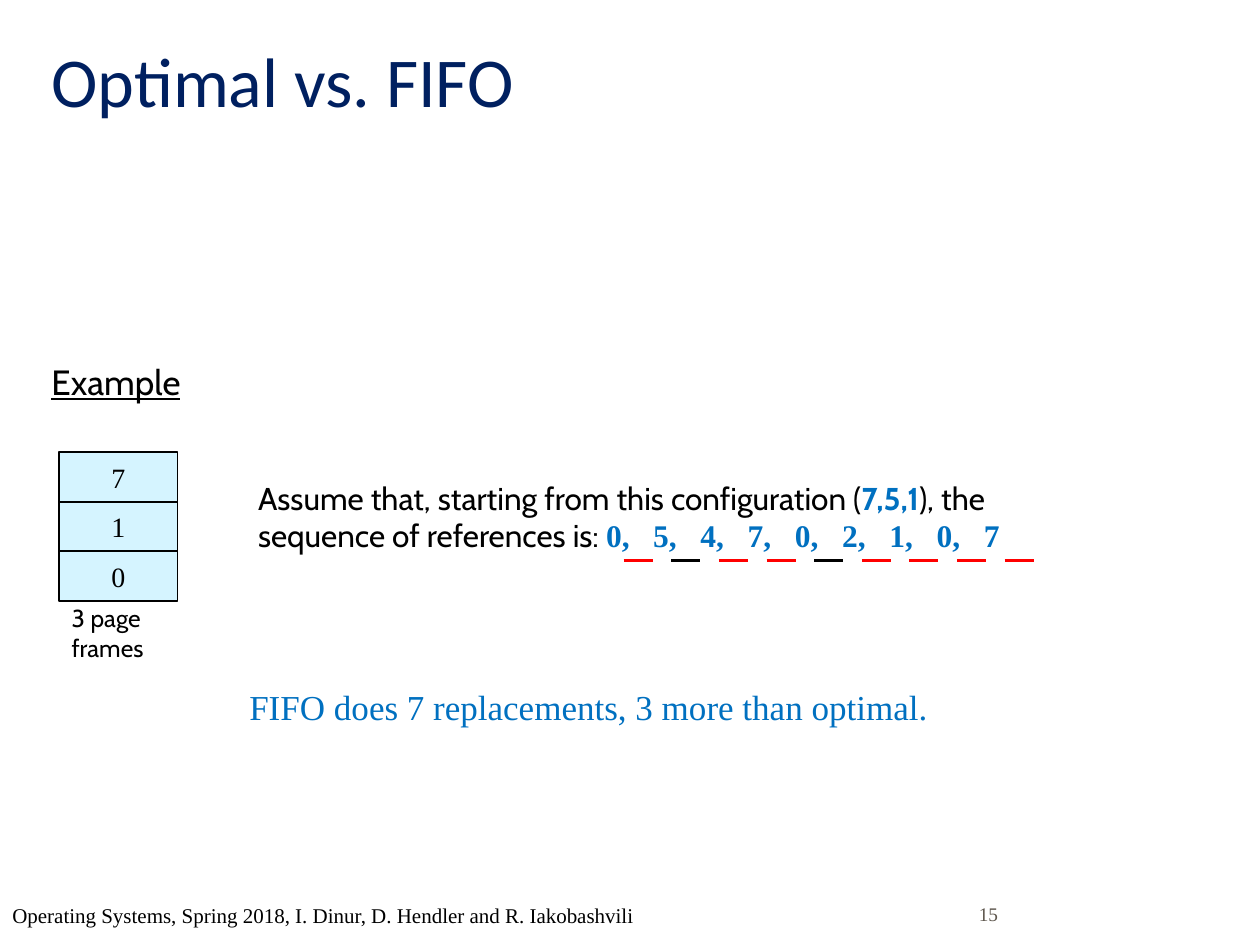
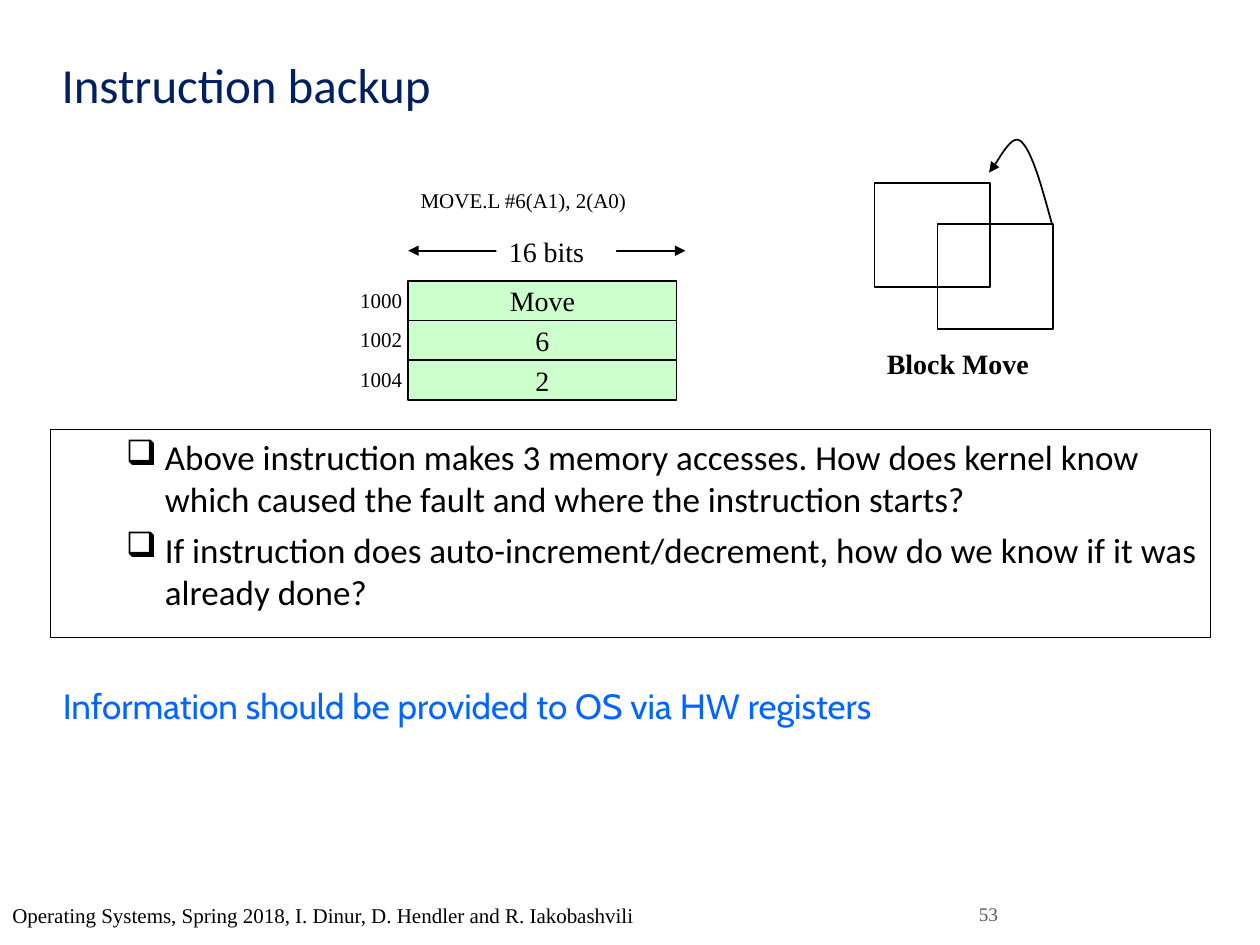
from dataclasses import dataclass
from typing import NamedTuple, Optional, Union

from lxml.etree import SubElement
from pptx import Presentation
from pptx.dml.color import RGBColor
from pptx.enum.shapes import MSO_CONNECTOR, MSO_SHAPE
from pptx.enum.text import MSO_ANCHOR, PP_ALIGN
from pptx.oxml.ns import qn
from pptx.util import Inches, Length, Pt


@dataclass(frozen=True)
class Theme:
    serif: str = "Times New Roman"
    sans: str = "Calibri"
    accent: str = "Cabin"
    black: str = "000000"
    white: str = "FFFFFF"
    navy: str = "002060"
    blue: str = "0070C0"
    bright_blue: str = "0066FF"
    red: str = "FF0000"
    grey: str = "5E574E"
    frame_fill: str = "D5F4FF"
    word_fill: str = "CCFFCC"
    title_size: int = 40
    small_title_size: int = 28
    body_size: int = 20
    lead_size: int = 18
    cell_size: int = 16
    caption_size: int = 14
    note_size: int = 12
    page_size: int = 11


THEME = Theme()
COLUMNS, ROWS = 100, 75
SLIDE_WIDTH, SLIDE_HEIGHT = Inches(10), Inches(7.5)


class Area(NamedTuple):
    """Place and size in grid columns and rows."""
    column: float
    row: float
    columns: float
    rows: float


class Point(NamedTuple):
    column: float
    row: float


class Span(NamedTuple):
    text: str
    color: str = THEME.black
    bold: bool = False
    font: Optional[str] = None


@dataclass(frozen=True)
class Style:
    size: int
    font: str = THEME.serif
    color: str = THEME.black
    bold: bool = False
    underline: bool = False
    align: PP_ALIGN = PP_ALIGN.LEFT
    spacing: float = 1.0
    bullet: str = ""
    tabs: tuple[float, ...] = ()


@dataclass(frozen=True)
class Label:
    area: Area
    content: Union[str, list[Span]]
    style: Style


TITLE = Style(THEME.title_size, THEME.sans, THEME.navy)
SMALL_TITLE = Style(THEME.small_title_size, THEME.sans, THEME.navy, spacing=0.8)
CELL = Style(THEME.cell_size, align=PP_ALIGN.CENTER)
NOTE = Style(THEME.note_size)
PAGE_NUMBER = Style(THEME.page_size, color=THEME.grey, spacing=0.9)
QUESTION = Style(THEME.body_size, THEME.sans, bullet="❑")
FOOTER = "Operating Systems, Spring 2018, I. Dinur, D. Hendler and R. Iakobashvili"


def across(columns: float) -> Length:
    return Length(round(SLIDE_WIDTH * columns / COLUMNS))


def down(rows: float) -> Length:
    return Length(round(SLIDE_HEIGHT * rows / ROWS))


def place(area: Area) -> tuple[Length, Length, Length, Length]:
    return across(area.column), down(area.row), across(area.columns), down(area.rows)


def rgb(color: str) -> RGBColor:
    return RGBColor.from_string(color)


def add_bullet(paragraph, character: str) -> None:
    properties = paragraph._p.get_or_add_pPr()
    properties.set("marL", str(across(8.1)))
    properties.set("indent", str(-across(3.1)))
    SubElement(properties, qn("a:buChar"), char=character)


def add_tabs(paragraph, positions: tuple[float, ...]) -> None:
    tab_list = SubElement(paragraph._p.get_or_add_pPr(), qn("a:tabLst"))
    for position in positions:
        SubElement(tab_list, qn("a:tab"), pos=str(across(position)), algn="l")


def write_paragraph(paragraph, content: Union[str, list[Span]], style: Style) -> None:
    if style.bullet:
        add_bullet(paragraph, style.bullet)
    if style.tabs:
        add_tabs(paragraph, style.tabs)
    paragraph.alignment = style.align
    if style.spacing != 1:
        paragraph.line_spacing = style.spacing
    font = paragraph.font
    font.name, font.size = style.font, Pt(style.size)
    font.bold, font.underline = style.bold, style.underline
    if isinstance(content, str):
        font.color.rgb = rgb(style.color)
        paragraph.text = content
        return
    for span in content:
        run = paragraph.add_run()
        run.text = span.text
        run.font.bold = span.bold
        run.font.color.rgb = rgb(span.color)
        if span.font:
            run.font.name = span.font


def add_label(slide, label: Label) -> None:
    frame = slide.shapes.add_textbox(*place(label.area)).text_frame
    frame.word_wrap = True
    write_paragraph(frame.paragraphs[0], label.content, label.style)


def add_box(slide, area: Area, fill: Optional[str] = None,
            line_width: float = 1, contents: tuple[str, ...] = (),
            style: Style = CELL, anchor: MSO_ANCHOR = MSO_ANCHOR.MIDDLE) -> None:
    """Draw a rectangle; no fill leaves it clear, a line width of 0 drops its outline."""
    box = slide.shapes.add_shape(MSO_SHAPE.RECTANGLE, *place(area))
    box.shadow.inherit = False
    if fill:
        box.fill.solid()
        box.fill.fore_color.rgb = rgb(fill)
    else:
        box.fill.background()
    if line_width:
        box.line.color.rgb = rgb(THEME.black)
        box.line.width = Pt(line_width)
    else:
        box.line.fill.background()
    frame = box.text_frame
    frame.word_wrap = True
    frame.vertical_anchor = anchor
    for index, content in enumerate(contents):
        paragraph = frame.add_paragraph() if index else frame.paragraphs[0]
        if index:
            paragraph.space_before = Pt(5)
        write_paragraph(paragraph, content, style)


def add_arrowheads(shape, *ends: str) -> None:
    """Put triangles on the named ends, headEnd before tailEnd."""
    for end in ends:
        SubElement(shape.line._get_or_add_ln(), qn(f"a:{end}"), type="triangle")


def add_line(slide, start: Point, end: Point, color: str, width: float):
    line = slide.shapes.add_connector(
        MSO_CONNECTOR.STRAIGHT, across(start.column), down(start.row),
        across(end.column), down(end.row))
    line.line.color.rgb = rgb(color)
    line.line.width = Pt(width)
    SubElement(line._element.spPr, qn("a:effectLst"))
    return line


def bezier(points: list[Point], steps: int = 16) -> list[tuple[Length, Length]]:
    """Sample a cubic curve, without its first point."""
    samples = []
    for step in range(1, steps + 1):
        t = step / steps
        weights = ((1 - t) ** 3, 3 * t * (1 - t) ** 2, 3 * t * t * (1 - t), t ** 3)
        samples.append((
            across(sum(w * p.column for w, p in zip(weights, points))),
            down(sum(w * p.row for w, p in zip(weights, points)))))
    return samples


def add_curved_arrow(slide, points: list[Point]) -> None:
    """Join cubic pieces that share their end points."""
    start = points[0]
    builder = slide.shapes.build_freeform(across(start.column), down(start.row))
    for first in range(0, len(points) - 1, 3):
        builder.add_line_segments(bezier(points[first:first + 4]), close=False)
    curve = builder.convert_to_shape()
    curve.shadow.inherit = False
    curve.fill.background()
    curve.line.color.rgb = rgb(THEME.black)
    curve.line.width = Pt(1)
    add_arrowheads(curve, "tailEnd")


def start_slide(presentation, title: Label, number: int):
    slide = presentation.slides.add_slide(presentation.slide_layouts[6])
    for label in (title,
                  Label(Area(0, 71.1, 100, 3.9), FOOTER, NOTE),
                  Label(Area(76.7, 71.3, 20, 3), str(number), PAGE_NUMBER)):
        add_label(slide, label)
    return slide


def build_comparison(presentation) -> None:
    slide = start_slide(
        presentation, Label(Area(3.1, 2.5, 94.5, 8.3), "Optimal vs. FIFO", TITLE), 15)
    references = "0, 5, 4, 7, 0, 2, 1, 0, 7".split()
    hits = {1, 4}
    reference_tabs = tuple(27.6 + 3.75 * i for i in range(1, len(references)))
    assumption = [
        Span("Assume that, starting from this configuration ("),
        Span("7,5,1", THEME.blue, True),
        Span("), the sequence of references is: "),
        Span("\t".join(references), THEME.blue, True, THEME.serif)]
    for label in (
            Label(Area(3.1, 28.1, 60.9, 4.4), "Example",
                  Style(THEME.body_size, THEME.accent, underline=True)),
            Label(Area(19.5, 37.5, 70.3, 7), assumption,
                  Style(THEME.lead_size, THEME.accent, tabs=reference_tabs)),
            Label(Area(18.8, 53.9, 69.5, 4.4),
                  "FIFO does 7 replacements, 3 more than optimal.",
                  Style(THEME.body_size, color=THEME.blue)),
            Label(Area(4.7, 47.4, 10.9, 5.7), "3 page\vframes",
                  Style(THEME.caption_size, THEME.accent))):
        add_label(slide, label)
    frame_height = 3.93
    for index, page in enumerate("710"):
        add_box(slide, Area(4.7, 35.9 + index * frame_height, 9.4, frame_height),
                THEME.frame_fill, contents=(page,))
    for index in range(len(references)):
        left = 49.5 + 3.78 * index
        add_line(slide, Point(left, 44.5), Point(left + 2.3, 44.5),
                 THEME.black if index in hits else THEME.red, 1.5)


def build_instruction_backup(presentation) -> None:
    slide = start_slide(
        presentation,
        Label(Area(3.9, 4.7, 85, 5.8), "Instruction backup", SMALL_TITLE), 53)
    add_box(slide, Area(4, 34.1, 92.1, 16.5), line_width=0.75, contents=(
        "Above instruction makes 3 memory accesses. How does kernel know "
        "which caused the fault and where the instruction starts?",
        "If instruction does auto-increment/decrement, how do we know "
        "if it was already done?"), style=QUESTION, anchor=MSO_ANCHOR.TOP)

    word_left, word_height = 32.4, 3.15
    for index, word in enumerate(("Move", "6", "2")):
        top = 22.3 + index * word_height
        add_box(slide, Area(word_left, top, 21.3, word_height), THEME.word_fill,
                contents=(word,))
        add_label(slide, Label(Area(27.6, top, 7.1, 3), str(1000 + 2 * index), NOTE))
    width_arrow = add_line(
        slide, Point(word_left, 19.9), Point(54.4, 19.9), THEME.black, 1)
    add_arrowheads(width_arrow, "headEnd", "tailEnd")
    for area, text, style in (
            (Area(39.4, 18.1, 9.5, 3.7), "16 bits", Style(THEME.cell_size)),
            (Area(word_left, 14.4, 23.6, 3), "MOVE.L #6(A1), 2(A0)", NOTE)):
        add_box(slide, area, THEME.white, 0, (text,), style, MSO_ANCHOR.TOP)

    for corner in (Point(69.4, 14.5), Point(74.4, 17.8)):
        add_box(slide, Area(*corner, 9.2, 8.3))
    add_curved_arrow(slide, [
        Point(83.5, 17.8), Point(82.7, 14.9), Point(81.9, 11.9), Point(81, 11.2),
        Point(80.2, 10.5), Point(79, 13.3), Point(78.5, 13.7)])
    add_label(slide, Label(Area(69.4, 27, 16.5, 3.7), "Block Move",
                           Style(THEME.cell_size, bold=True)))
    add_label(slide, Label(Area(4, 53.8, 83.1, 16.5),
                           "Information should be provided to OS via HW registers",
                           Style(THEME.body_size, THEME.accent, THEME.bright_blue)))


def main() -> None:
    presentation = Presentation()
    presentation.slide_width, presentation.slide_height = SLIDE_WIDTH, SLIDE_HEIGHT
    build_comparison(presentation)
    build_instruction_backup(presentation)
    presentation.save("out.pptx")


if __name__ == "__main__":
    main()
